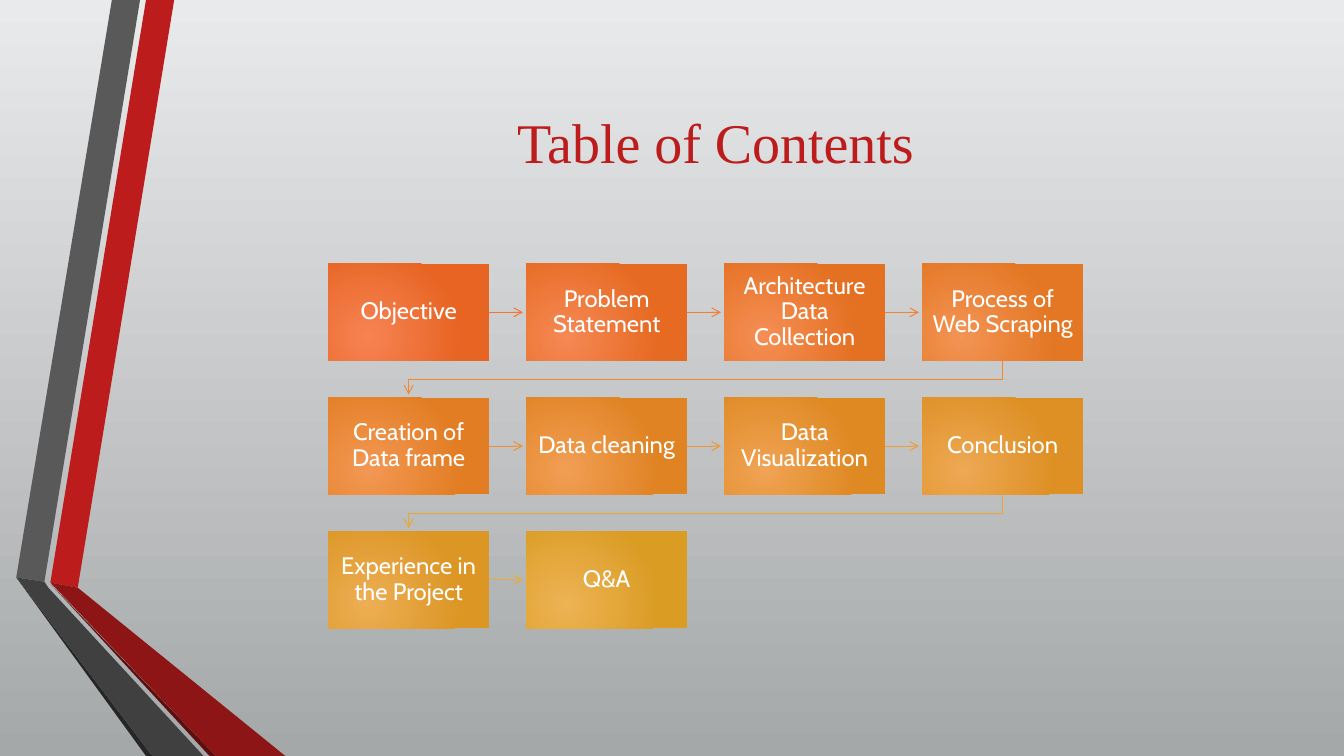
from lxml import etree
from pptx import Presentation
from pptx.dml.color import RGBColor
from pptx.enum.shapes import MSO_CONNECTOR, MSO_SHAPE
from pptx.enum.text import MSO_ANCHOR, PP_ALIGN
from pptx.oxml.ns import qn
from pptx.util import Cm, Pt

RECTANGLE = MSO_SHAPE.RECTANGLE
STRAIGHT = MSO_CONNECTOR.STRAIGHT
CENTER = PP_ALIGN.CENTER
MIDDLE = MSO_ANCHOR.MIDDLE

COLORS = {
    "sky": "E9EAEB", "ground": "A5A8A9",
    "red": "BC1C1C", "red_fold": "8D1515", "red_edge": "5E0E0E",
    "gray": "595959", "gray_fold": "404040", "gray_edge": "262626",
    "glow_first": "F78354", "glow_last": "ECB354",
    "box_first": "E76422", "box_last": "DB9C24",
    "arrow_first": "F67534", "arrow_last": "EAAC35",
    "text": "FFFFFF",
}

# Ribbon outlines in cm
RIBBONS = [
    ("red", [(1.27, 14.68), (1.96, 14.81), (4.39, 0), (3.68, 0)]),
    ("gray", [(3.53, 0), (2.82, 0), (0.41, 14.55), (1.12, 14.66)]),
    ("gray_edge", [(0.41, 14.55), (3.68, 19.05), (3.84, 19.05)]),
    ("red_edge", [(1.27, 14.71), (5.28, 19.05), (5.44, 19.05)]),
    ("red_fold", [(1.27, 14.68), (5.44, 19.05), (7.19, 19.05), (1.96, 14.81)]),
    ("gray_fold", [(5.13, 19.05), (1.22, 14.81), (1.12, 14.66), (0.41, 14.55),
                   (3.84, 19.05)]),
]

TOPICS = [
    "Objective", "Problem Statement", "Architecture Data Collection",
    "Process of Web Scraping", "Creation of Data frame", "Data cleaning",
    "Data Visualization", "Conclusion", "Experience in the Project", "Q&A",
]
COLUMNS = 4
GRID_LEFT, GRID_TOP = 8.27, 6.65
BOX_WIDTH, BOX_HEIGHT = 4.06, 2.44
COLUMN_STEP, ROW_STEP = 4.99, 3.37
ARROW_LENGTH = 0.85
ELBOW_DROP = 0.47


def blend(name, share):
    """Return the colour at a share of the way from name_first to name_last."""
    first = RGBColor.from_string(COLORS[name + "_first"])
    last = RGBColor.from_string(COLORS[name + "_last"])
    return RGBColor(*(round(a + (b - a) * share) for a, b in zip(first, last)))


def add_outline(shapes, points, close):
    """Add a freeform through points given in cm."""
    corners = [(Cm(x), Cm(y)) for x, y in points]
    builder = shapes.build_freeform(*corners[0])
    builder.add_line_segments(corners[1:], close=close)
    return builder.convert_to_shape()


prs = Presentation()
prs.slide_width, prs.slide_height = Cm(33.87), Cm(19.05)
slide = prs.slides.add_slide(prs.slide_layouts[5])
shapes = slide.shapes

backdrop = slide.background.fill
backdrop.gradient()
backdrop.gradient_angle = 270
for stop, shade in zip(backdrop.gradient_stops, ("sky", "ground")):
    stop.color.rgb = RGBColor.from_string(COLORS[shade])

for shade, points in RIBBONS:
    ribbon = add_outline(shapes, points, True)
    ribbon.shadow.inherit = False
    ribbon.fill.solid()
    ribbon.fill.fore_color.rgb = RGBColor.from_string(COLORS[shade])
    ribbon.line.fill.background()

title = shapes.title
title.left, title.top, title.width, title.height = Cm(4.11), Cm(1.9), Cm(27.84), Cm(3.3)
title.text_frame.text = "Table of Contents"
title.text_frame.vertical_anchor = MIDDLE
heading = title.text_frame.paragraphs[0]
heading.alignment = CENTER
heading_font = heading.runs[0].font
heading_font.name, heading_font.size = "Times New Roman", Pt(40)
heading_font.color.rgb = RGBColor.from_string(COLORS["red"])

last_step = len(TOPICS) - 1
for step, topic in enumerate(TOPICS):
    row, column = divmod(step, COLUMNS)
    left = GRID_LEFT + column * COLUMN_STEP
    top = GRID_TOP + row * ROW_STEP

    box = shapes.add_shape(RECTANGLE, Cm(left), Cm(top), Cm(BOX_WIDTH), Cm(BOX_HEIGHT))
    box.shadow.inherit = False
    box.line.fill.background()
    box.fill.gradient()
    for stop, name in zip(box.fill.gradient_stops, ("glow", "box")):
        stop.color.rgb = blend(name, step / last_step)
    gradient = box.element.spPr.find(qn("a:gradFill"))
    gradient.remove(gradient.find(qn("a:lin")))
    radial = etree.SubElement(gradient, qn("a:path"), path="circle")
    etree.SubElement(radial, qn("a:fillToRect"),
                     l="50000", t="100000", r="100000", b="50000")

    frame = box.text_frame
    frame.word_wrap = True
    frame.vertical_anchor = MIDDLE
    frame.margin_left = frame.margin_right = Cm(0.2)
    frame.margin_top = frame.margin_bottom = Cm(0.2)
    frame.text = topic
    label = frame.paragraphs[0]
    label.alignment = CENTER
    label.line_spacing = 0.9
    label_font = label.runs[0].font
    label_font.name, label_font.size = "Cabin", Pt(17)
    label_font.color.rgb = RGBColor.from_string(COLORS["text"])

    if step == last_step:
        continue
    if column < COLUMNS - 1:
        start, middle = left + BOX_WIDTH, top + BOX_HEIGHT / 2
        arrow = shapes.add_connector(STRAIGHT, Cm(start), Cm(middle),
                                     Cm(start + ARROW_LENGTH), Cm(middle))
    else:
        start, end = left + BOX_WIDTH / 2, GRID_LEFT + BOX_WIDTH / 2
        bottom = top + BOX_HEIGHT
        arrow = add_outline(shapes, [
            (start, bottom), (start, bottom + ELBOW_DROP),
            (end, bottom + ELBOW_DROP), (end, bottom + ARROW_LENGTH)], False)
        arrow.fill.background()
    arrow.line.width = Pt(0.75)
    arrow.line.color.rgb = blend("arrow", step / (last_step - 1))
    properties = arrow.element.spPr
    etree.SubElement(properties.find(qn("a:ln")), qn("a:tailEnd"), type="arrow")
    etree.SubElement(properties, qn("a:effectLst"))

prs.save("out.pptx")
